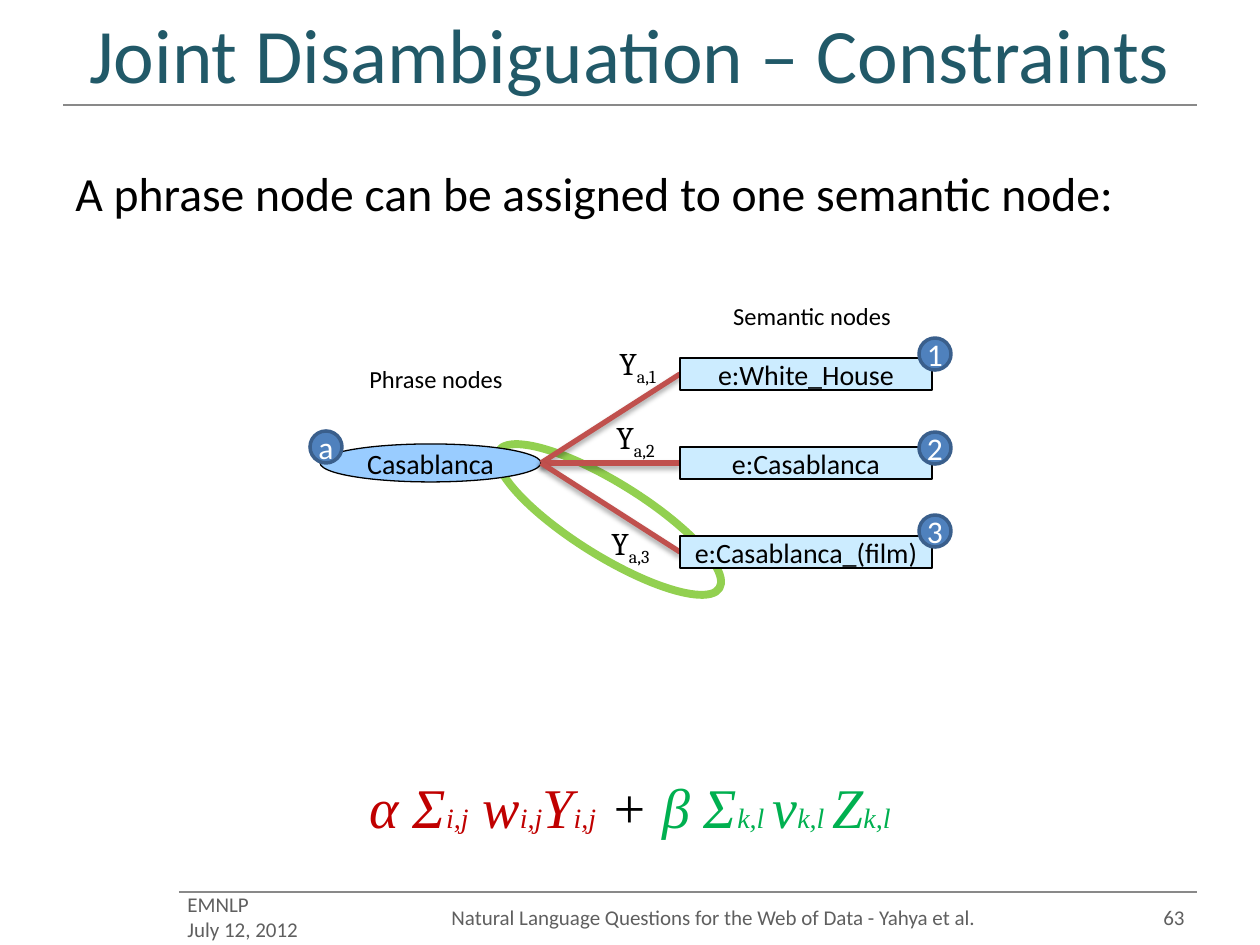
"""Build the slide on joint disambiguation constraints."""
from dataclasses import dataclass

from lxml.etree import SubElement
from pptx import Presentation
from pptx.dml.color import RGBColor
from pptx.enum.shapes import MSO_CONNECTOR as Connector, MSO_SHAPE as Shape
from pptx.enum.text import MSO_ANCHOR as Anchor, PP_ALIGN as Align
from pptx.oxml.ns import qn
from pptx.util import Emu, Pt

EMU_PER_PX = 914400 / 126


@dataclass(frozen=True)
class Theme:
    font: str = "Calibri"
    label_font: str = "Cambria"
    math_font: str = "Times New Roman"
    black: str = "000000"
    white: str = "FFFFFF"
    title: str = "215968"
    footer: str = "5F5F5F"
    rule: str = "898989"
    ring: str = "92D050"
    phrase: str = "99CCFF"
    semantic: str = "CCECFF"
    edge: str = "C0504D"
    badge: str = "4F81BD"
    badge_line: str = "3A5F8C"
    alpha_term: str = "C00000"
    beta_term: str = "00B050"
    title_size: float = 44
    formula_size: float = 32
    body_size: float = 27.2
    badge_size: float = 18
    index_size: float = 16
    node_size: float = 16
    caption_size: float = 14
    footer_size: float = 12


def px(length):
    return Emu(round(length * EMU_PER_PX))


def write(frame, text, *, size, color, font, align=Align.LEFT,
          anchor=Anchor.TOP, inset=None, italic=False):
    """Fill a frame with text, or with (text, overrides) runs."""
    frame.word_wrap = True
    frame.vertical_anchor = anchor
    if inset is not None:
        frame.margin_left = frame.margin_right = px(inset)
        frame.margin_top = frame.margin_bottom = px(inset)
    lines = [[(line, {})] for line in text.split("\n")] if isinstance(text, str) else [text]
    for number, runs in enumerate(lines):
        paragraph = frame.add_paragraph() if number else frame.paragraphs[0]
        paragraph.alignment = align
        for words, changes in runs:
            run = paragraph.add_run()
            run.text = words
            run.font.name = font
            run.font.size = Pt(changes.get("size", size))
            run.font.italic = italic
            run.font.color.rgb = RGBColor.from_string(changes.get("color", color))
            if "baseline" in changes:
                run.font._element.set("baseline", str(changes["baseline"]))


class SlideBuilder:
    """Hold the theme and the slide and draw each kind of element."""

    def __init__(self, slide, theme):
        self.slide = slide
        self.theme = theme

    def title(self, text, box):
        shape = self.slide.shapes.title
        shape.left, shape.top, shape.width, shape.height = map(px, box)
        write(shape.text_frame, text, size=self.theme.title_size, color=self.theme.title,
              font=self.theme.font, align=Align.CENTER, anchor=Anchor.MIDDLE)

    def text(self, text, box, **style):
        style = {"color": self.theme.black, "font": self.theme.font} | style
        shape = self.slide.shapes.add_textbox(*map(px, box))
        write(shape.text_frame, text, **style)

    def shape(self, kind, box, line, weight, fill=None, rotation=0):
        shape = self.slide.shapes.add_shape(kind, *map(px, box))
        shape.shadow.inherit = False
        shape.rotation = rotation
        shape.line.color.rgb = RGBColor.from_string(line)
        shape.line.width = Pt(weight)
        if fill:
            shape.fill.solid()
            shape.fill.fore_color.rgb = RGBColor.from_string(fill)
        else:
            shape.fill.background()
        return shape

    def node(self, kind, text, box, fill):
        shape = self.shape(kind, box, self.theme.black, 0.75, fill)
        write(shape.text_frame, text, size=self.theme.node_size, color=self.theme.black,
              font=self.theme.font, align=Align.CENTER, anchor=Anchor.MIDDLE, inset=0)

    def badge(self, text, left, top):
        shape = self.shape(Shape.OVAL, (left, top, 32, 32), self.theme.badge_line, 2,
                           self.theme.badge)
        write(shape.text_frame, text, size=self.theme.badge_size, color=self.theme.white,
              font=self.theme.font, align=Align.CENTER, anchor=Anchor.MIDDLE, inset=0)

    def line(self, start, end, color, weight, shadow=False):
        line = self.slide.shapes.add_connector(Connector.STRAIGHT, *map(px, (*start, *end)))
        line.line.color.rgb = RGBColor.from_string(color)
        line.line.width = Pt(weight)
        effects = SubElement(line._element.spPr, qn("a:effectLst"))
        if shadow:
            outer = SubElement(effects, qn("a:outerShdw"), blurRad=str(Pt(3.1)),
                               dist=str(Pt(1.8)), dir="5400000", rotWithShape="0")
            tint = SubElement(outer, qn("a:srgbClr"), val=self.theme.black)
            SubElement(tint, qn("a:alpha"), val="35000")


def draw_graph(builder):
    theme = builder.theme
    hub = (541, 463)
    semantic_left, first_top, pitch, height = 680, 358, 89, 32
    rows = [
        ("e:White_House", 338, (607, 338)),
        ("e:Casablanca", 432, (604, 412)),
        ("e:Casablanca_(film)", 515, (599, 518)),
    ]
    builder.shape(Shape.OVAL, (479, 483, 260, 73), theme.ring, 4.5, rotation=31.9)
    builder.node(Shape.OVAL, "Casablanca", (320, 444, 221, 38), theme.phrase)
    builder.badge("a", 310, 431)
    for index, (name, badge_top, label_place) in enumerate(rows):
        top = first_top + index * pitch
        builder.line(hub, (semantic_left, top + height // 2), theme.edge, 3, shadow=True)
        builder.node(Shape.RECTANGLE, name, (semantic_left, top, 252, height), theme.semantic)
        builder.badge(str(index + 1), 919, badge_top)
        builder.text([("Y", {}), (f"a,{index + 1}", {"baseline": -25000})],
                     (*label_place, 73, 50), size=theme.badge_size, font=theme.label_font)
    for caption, box in (("Phrase nodes", (352, 358, 168, 42)),
                         ("Semantic nodes", (707, 295, 210, 42))):
        builder.text(caption, box, size=theme.caption_size, align=Align.CENTER)


def draw_formula(builder):
    theme = builder.theme

    def term(color, indices, *symbols, gap=()):
        runs = []
        for symbol in symbols:
            if runs:
                runs += [(space, {"size": theme.badge_size, "color": color}) for space in gap]
            runs += [(symbol, {"color": color}),
                     (indices, {"color": color, "size": theme.index_size})]
        return runs

    runs = [*term(theme.alpha_term, "i,j", "α Σ", " w", "Y"), (" + ", {}),
            *term(theme.beta_term, "k,l", "β Σ", "v", "Z", gap=" ")]
    builder.text(runs, (63, 766, 1134, 84), size=theme.formula_size,
                 font=theme.math_font, align=Align.CENTER, italic=True)


def draw_footer(builder):
    theme = builder.theme
    builder.line((179, 892), (1197, 892), theme.rule, 0.75)
    for text, left, width, align in (
        ("EMNLP\nJuly 12, 2012", 175, 161, Align.LEFT),
        ("Natural Language Questions for the Web of Data - Yahya et al.", 369, 689, Align.CENTER),
        ("63", 1092, 105, Align.RIGHT),
    ):
        builder.text(text, (left, 892, width, 50), size=theme.footer_size,
                     color=theme.footer, align=align, anchor=Anchor.MIDDLE)


def main():
    presentation = Presentation()
    presentation.slide_width, presentation.slide_height = px(1260), px(945)
    slide = presentation.slides.add_slide(presentation.slide_layouts[5])
    theme = Theme()
    builder = SlideBuilder(slide, theme)
    builder.title("Joint Disambiguation – Constraints", (63, 0, 1134, 105))
    builder.line((63, 105), (1197, 105), theme.rule, 0.75)
    builder.text("A phrase node can be assigned to one semantic node:",
                 (63, 158, 1134, 105), size=theme.body_size)
    draw_graph(builder)
    draw_formula(builder)
    draw_footer(builder)
    presentation.save("out.pptx")


if __name__ == "__main__":
    main()
